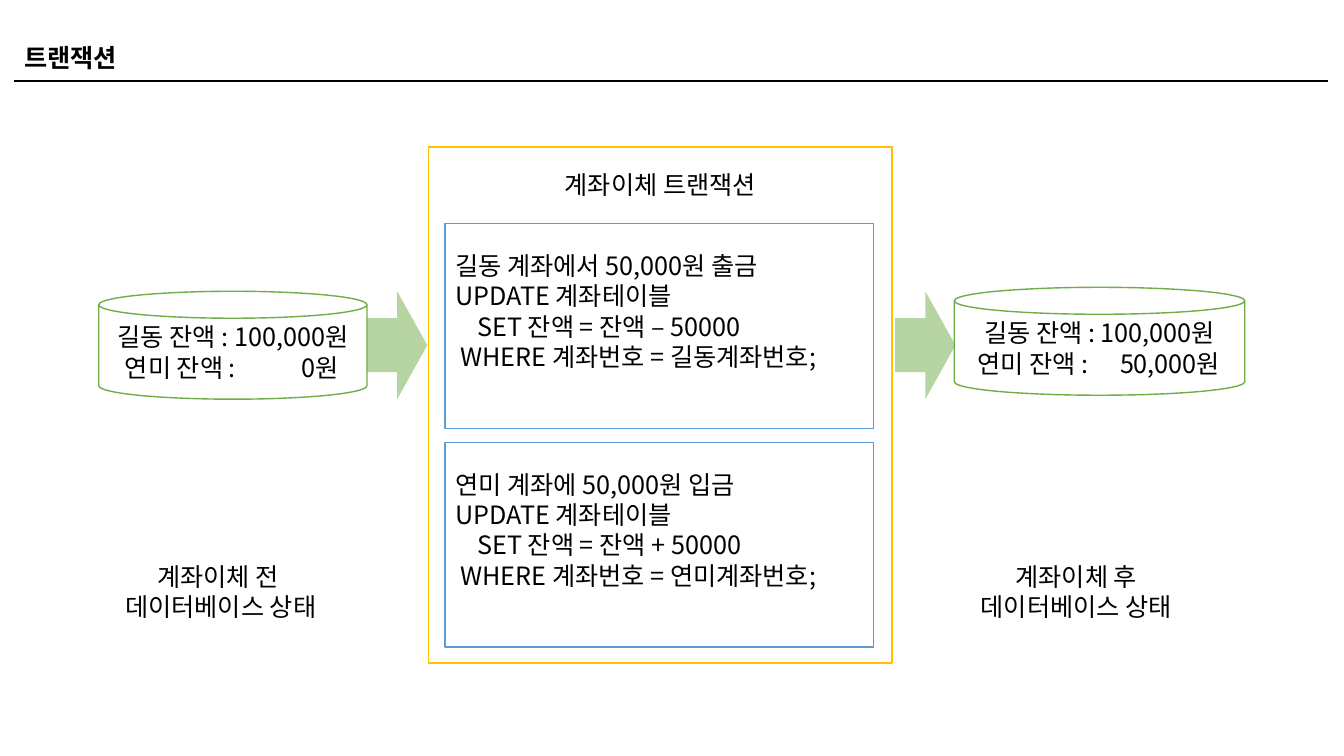
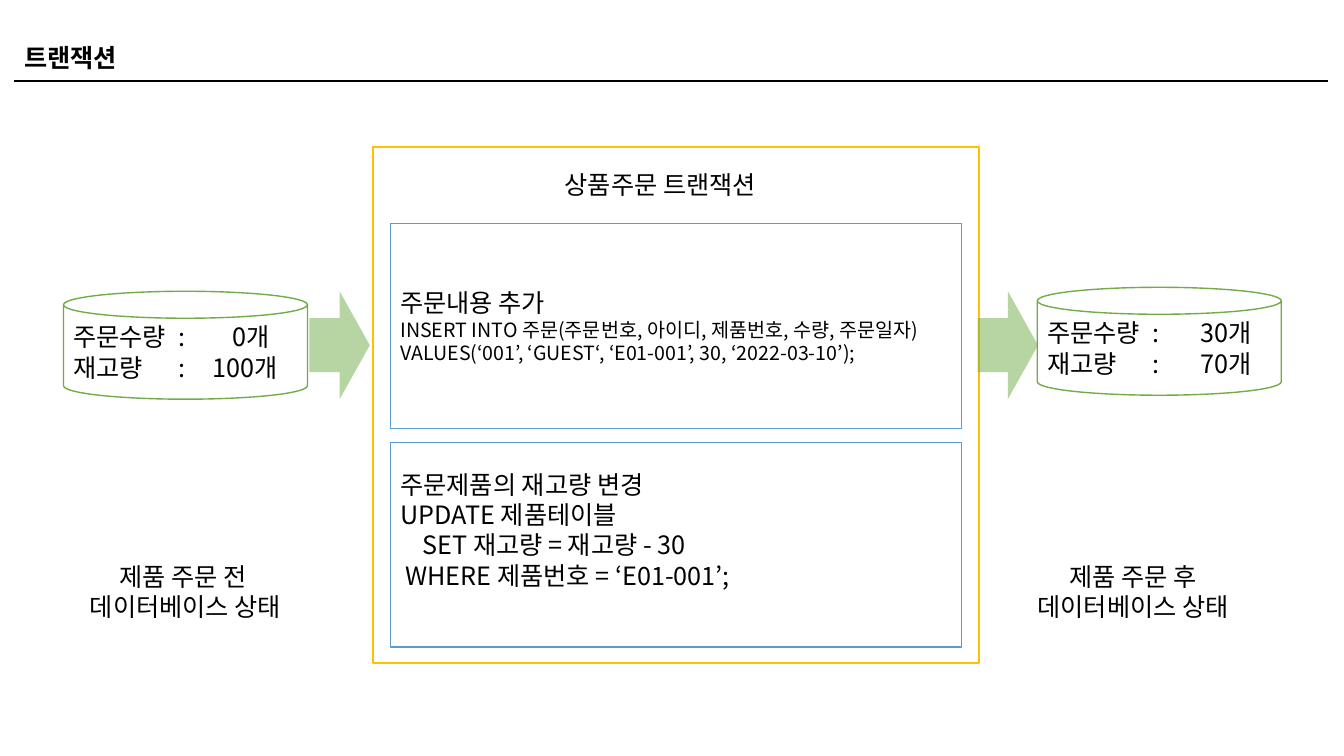
"""Builds two slides that show a database before and after a transaction."""
from lxml import etree
from pptx import Presentation
from pptx.dml.color import RGBColor
from pptx.enum import shapes, text
from pptx.oxml import ns
from pptx.util import Cm, Pt

FONT = "Noto Sans CJK KR"
BLACK = RGBColor(0x00, 0x00, 0x00)
WHITE = RGBColor(0xFF, 0xFF, 0xFF)
GREEN = RGBColor(0x70, 0xAD, 0x47)
GOLD = RGBColor(0xFF, 0xC0, 0x00)
BLUE = RGBColor(0x5B, 0x9B, 0xD5)
KIND = shapes.MSO_SHAPE
LEFT, MID = text.PP_ALIGN.LEFT, text.PP_ALIGN.CENTER
SET = {"indent": 0.56}
WHERE = {"indent": 0.13}
SMALL = {"size": 14}
PAD = 0.89

flows = [
    {
        "head": "계좌이체 트랜잭션",
        "frame": (10.8, 11.68),
        "inner": (11.22, 10.8),
        "cans": [
            (2.49, 7.34, 6.76, [
                ("길동 잔액 : 100,000원", {"align": MID}),
                ("\t연미 잔액 :\t0원", {"tabs": [("l", 0.41), ("r", 5.8)]})]),
            (24.05, 7.24, 7.32, [
                ("길동 잔액 : 100,000원", {"align": MID}),
                ("\t연미 잔액 :\t50,000원", {"tabs": [("l", 0.34), ("r", 6.45)]})]),
        ],
        "notes": [(2.49, "계좌이체 전 "), (24.05, "계좌이체 후")],
        "steps": [
            (PAD, [("길동 계좌에서 50,000원 출금", {}),
                   ("UPDATE 계좌테이블", {}),
                   ("SET 잔액 = 잔액 – 50000", SET),
                   ("WHERE 계좌번호 = 길동계좌번호;", WHERE)]),
            (PAD, [("연미 계좌에 50,000원 입금", {}),
                   ("UPDATE 계좌테이블", {}),
                   ("SET 잔액 = 잔액 + 50000", SET),
                   ("WHERE 계좌번호 = 연미계좌번호;", WHERE)]),
        ],
        "arrows": (9.25, 22.56),
    },
    {
        "head": "상품주문 트랜잭션",
        "frame": (9.4, 15.27),
        "inner": (9.84, 14.4),
        "cans": [
            (1.6, 7.34, 6.15, [
                ("주문수량\t:\t0개", {"tabs": [("l", 2.65), ("r", 4.95)]}),
                ("재고량\t:\t100개", {"tabs": [("l", 2.65), ("r", 5.15)]})]),
            (26.14, 7.24, 6.15, [
                ("주문수량\t:\t30개", {"tabs": [("l", 2.65), ("r", 5.15)]}),
                ("재고량\t:\t70개", {"tabs": [("l", 2.65), ("r", 5.15)]})]),
        ],
        "notes": [(1.6, "제품 주문 전 "), (25.48, "제품 주문 후")],
        "steps": [
            (0.13, [("주문내용 추가", {}),
                    ("INSERT INTO 주문(주문번호, 아이디, 제품번호, 수량, 주문일자)", SMALL),
                    ("VALUES(‘001’, ‘GUEST‘, ‘E01-001’, 30, ‘2022-03-10’);", SMALL)]),
            (PAD, [("주문제품의 재고량 변경", {}),
                   ("UPDATE 제품테이블", {}),
                   ("SET 재고량 = 재고량 - 30", SET),
                   ("WHERE 제품번호 = ‘E01-001’;", WHERE)]),
        ],
        "arrows": (7.8, 24.64),
    },
]


def write(frame, words, size=18, bold=False, align=LEFT, space=None, indent=0, tabs=()):
    """Adds one paragraph, filling the empty first one before any other."""
    frame.word_wrap = True
    first = frame.paragraphs[0]
    para = frame.add_paragraph() if first.runs else first
    para.alignment = align
    if space:
        para.line_spacing = space
    props = para._p.get_or_add_pPr()
    if indent:
        props.set("marL", "0")
        props.set("indent", str(Cm(indent)))
    if tabs:
        stops = etree.SubElement(props, ns.qn("a:tabLst"))
        for side, pos in tabs:
            etree.SubElement(stops, ns.qn("a:tab"), pos=str(Cm(pos)), algn=side)
    run = para.add_run()
    run.text = words
    font = run.font
    font.name, font.size, font.bold = FONT, Pt(size), bold
    font.color.rgb = BLACK
    etree.SubElement(font._element, ns.qn("a:ea"), typeface=FONT)


def draw(slide, kind, left, top, width, height, fill=WHITE, line=None):
    """Adds a flat preset shape with an optional outline."""
    shape = slide.shapes.add_shape(kind, Cm(left), Cm(top), Cm(width), Cm(height))
    shape.shadow.inherit = False
    shape.fill.solid()
    shape.fill.fore_color.rgb = fill
    if line is None:
        shape.line.fill.background()
    else:
        shape.line.color.rgb = line
        shape.line.width = Pt(1)
    shape.text_frame.vertical_anchor = text.MSO_ANCHOR.MIDDLE
    return shape


deck = Presentation()
deck.slide_width, deck.slide_height = Cm(33.87), Cm(19.05)

for flow in flows:
    slide = deck.slides.add_slide(deck.slide_layouts[6])

    rule = slide.shapes.add_connector(
        shapes.MSO_CONNECTOR.STRAIGHT, Cm(0.36), Cm(2.04), Cm(33.48), Cm(2.04))
    rule.line.color.rgb = BLACK
    rule.line.width = Pt(1.5)
    etree.SubElement(rule._element.spPr, ns.qn("a:effectLst"))
    title = slide.shapes.add_textbox(Cm(0.36), Cm(0.94), Cm(33.12), Cm(1.02))
    write(title.text_frame, "트랜잭션", bold=True)

    for left, top, width, lines in flow["cans"]:
        can = draw(slide, KIND.CAN, left, top, width, 2.72, line=GREEN)
        for words, form in lines:
            write(can.text_frame, words, **form)

    for left, words in flow["notes"]:
        note = slide.shapes.add_textbox(Cm(left), Cm(14.02), Cm(6.15), Cm(1.8))
        for part in (words, "데이터베이스 상태"):
            write(note.text_frame, part, align=MID)

    left, width = flow["frame"]
    draw(slide, KIND.RECTANGLE, left, 3.71, width, 13, line=GOLD)
    head = slide.shapes.add_textbox(Cm(10.8), Cm(3.76), Cm(11.68), Cm(1.27))
    write(head.text_frame, flow["head"], align=MID, space=1.5)

    left, width = flow["inner"]
    for row, (pad, lines) in enumerate(flow["steps"]):
        step = draw(slide, KIND.RECTANGLE, left, 5.64 + row * 5.51, width, 5.16, line=BLUE)
        step.text_frame.margin_bottom = Cm(pad)
        for words, form in lines:
            write(step.text_frame, words, **form)

    for left in flow["arrows"]:
        arrow = draw(slide, KIND.RIGHT_ARROW, left, 7.34, 1.52, 2.72, fill=GREEN)
        tint = arrow._element.spPr.find(ns.qn("a:solidFill"))[0]
        etree.SubElement(tint, ns.qn("a:alpha"), val="50000")

deck.save("out.pptx")
